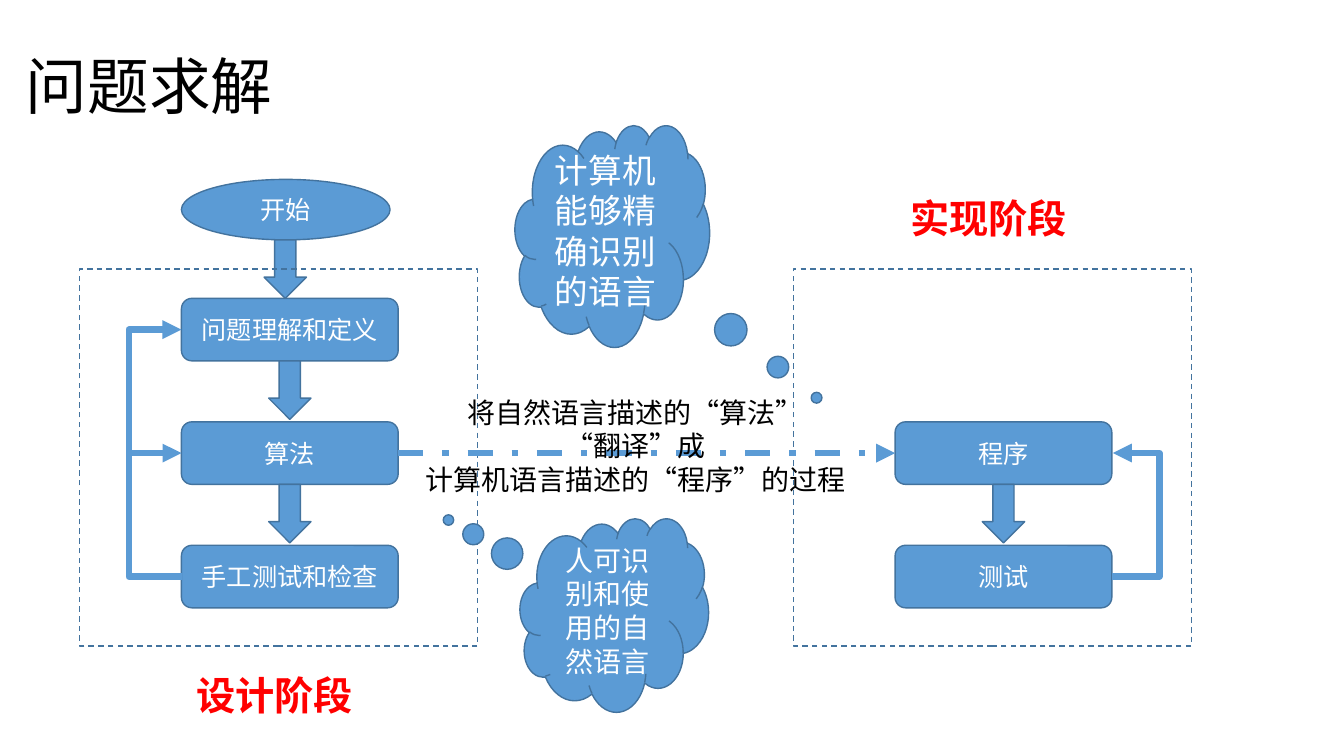
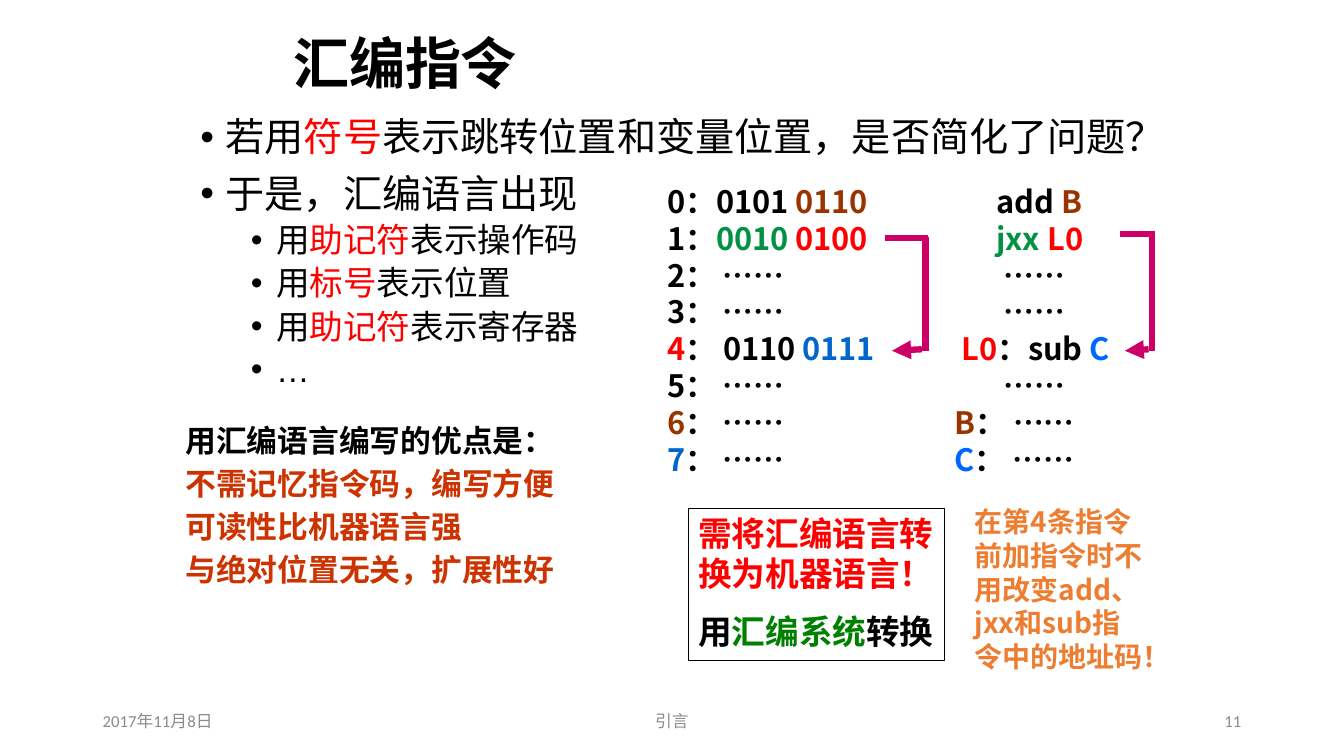
from dataclasses import dataclass
from typing import Optional, Sequence

from lxml import etree
from pptx import Presentation
from pptx import util as u
from pptx.dml.color import RGBColor
from pptx.enum import dml, shapes, text
from pptx.oxml import ns

# Shared grid: one cell is a tenth of an inch
CELL = u.Inches(0.1)
COLUMNS, ROWS = 133.33, 75

# Shared colours and fonts
BLACK = RGBColor(0x00, 0x00, 0x00)
WHITE = RGBColor(0xFF, 0xFF, 0xFF)
BLUE = RGBColor(0x5B, 0x9B, 0xD5)
OUTLINE = RGBColor(0x43, 0x73, 0x9E)
RED = RGBColor(0xFF, 0x00, 0x00)
GRAY = RGBColor(0x8C, 0x8C, 0x8C)
BROWN = RGBColor(0x99, 0x33, 0x00)
GREEN = RGBColor(0x00, 0x92, 0x42)
DARK_GREEN = RGBColor(0x00, 0x80, 0x00)
OPERAND_BLUE = RGBColor(0x00, 0x66, 0xCC)
LABEL_BLUE = RGBColor(0x00, 0x66, 0xFF)
RUST = RGBColor(0xCC, 0x33, 0x00)
ORANGE = RGBColor(0xED, 0x7D, 0x31)
MAGENTA = RGBColor(0xCC, 0x00, 0x66)
CALIBRI, ARIAL, NOTO = "Calibri", "Arial", "Noto Sans CJK SC"

LEFT, CENTER, RIGHT = text.PP_ALIGN.LEFT, text.PP_ALIGN.CENTER, text.PP_ALIGN.RIGHT
TOP, MIDDLE = text.MSO_ANCHOR.TOP, text.MSO_ANCHOR.MIDDLE
SHAPE = shapes.MSO_SHAPE
DASH = dml.MSO_LINE.DASH
THICK = 4.5


@dataclass(frozen=True)
class Area:
    col: float
    row: float
    cols: float
    rows: float

    def lengths(self) -> list[int]:
        return [cells(n) for n in (self.col, self.row, self.cols, self.rows)]


@dataclass(frozen=True)
class Style:
    size: float
    font: str = CALIBRI
    color: RGBColor = BLACK
    bold: bool = False
    align: text.PP_ALIGN = LEFT


@dataclass(frozen=True)
class Span:
    text: str
    color: Optional[RGBColor] = None


@dataclass(frozen=True)
class Para:
    spans: Sequence[Span]
    size: Optional[float] = None
    before: float = 0
    spacing: Optional[float] = None
    bullet_cols: Optional[float] = None


@dataclass(frozen=True)
class Phase:
    label: str
    label_row: float
    col: float
    steps: Sequence[str]
    first_step: int


@dataclass(frozen=True)
class Cloud:
    text: str
    area: Area
    size: float
    tail: tuple[float, float]


def cells(count: float) -> int:
    return round(count * CELL)


def line_of(*parts: tuple, **options) -> Para:
    return Para([Span(*part) for part in parts], **options)


# Text
def write(frame, paras: Sequence[Para], style: Style, anchor=TOP, wrap: bool = True) -> None:
    frame.word_wrap = wrap
    frame.vertical_anchor = anchor
    for index, item in enumerate(paras):
        para = frame.paragraphs[0] if index == 0 else frame.add_paragraph()
        para.alignment = style.align
        if index:
            para.space_before = u.Pt(item.before)
        if item.spacing:
            para.line_spacing = item.spacing
        if item.bullet_cols is not None:
            add_bullet(para, item.bullet_cols)
        for span in item.spans:
            run = para.add_run()
            run.text = span.text
            run.font.size = u.Pt(item.size or style.size)
            run.font.bold = style.bold
            run.font.color.rgb = span.color or style.color
            run.font.name = style.font
            east = etree.Element(ns.qn("a:ea"), typeface=NOTO)
            run.font._element.find(ns.qn("a:latin")).addnext(east)


def add_bullet(para, margin: float) -> None:
    props = para._p.get_or_add_pPr()
    props.set("marL", str(cells(margin)))
    props.set("indent", str(cells(-2.5)))
    etree.SubElement(props, ns.qn("a:buFont"), typeface=ARIAL)
    etree.SubElement(props, ns.qn("a:buChar"), char="•")


def add_text(page, area: Area, paras: Sequence[Para], style: Style, anchor=TOP,
             wrap: bool = True) -> None:
    box = page.shapes.add_textbox(*area.lengths())
    write(box.text_frame, paras, style, anchor, wrap)


def add_title(page, area: Area, title: str, style: Style, spacing: float) -> None:
    add_text(page, area, [line_of((title,), spacing=spacing)], style, MIDDLE)


def add_footer(page, date: str, topic: str, number: str) -> None:
    margin, side, middle = 9.2, 30, 45
    for words, col, cols, align in (
            (date, margin, side, LEFT),
            (topic, (COLUMNS - middle) / 2, middle, CENTER),
            (number, COLUMNS - margin - side, side, RIGHT)):
        add_text(page, Area(col, 69.5, cols, 4), [line_of((words,))],
                 Style(12, color=GRAY, align=align), MIDDLE)


# Shapes and lines
def add_shape(page, kind, area: Area, fill: Optional[RGBColor] = BLUE,
              outline: RGBColor = OUTLINE, width: float = 1):
    shape = page.shapes.add_shape(kind, *area.lengths())
    shape.shadow.inherit = False
    if fill is None:
        shape.fill.background()
    else:
        shape.fill.solid()
        shape.fill.fore_color.rgb = fill
    shape.line.color.rgb = outline
    shape.line.width = u.Pt(width)
    return shape


def add_label_shape(page, kind, area: Area, words: str, size: float = 18):
    shape = add_shape(page, kind, area)
    write(shape.text_frame, [line_of((words,))], Style(size, color=WHITE, align=CENTER), MIDDLE)
    return shape


def add_line(page, start: tuple[float, float], end: tuple[float, float], color: RGBColor = BLUE,
             arrow: bool = True, dash=None, bend_col: Optional[float] = None) -> None:
    kind = shapes.MSO_CONNECTOR.STRAIGHT if bend_col is None else shapes.MSO_CONNECTOR.ELBOW
    line = page.shapes.add_connector(kind, *map(cells, start + end))
    line.line.color.rgb = color
    line.line.width = u.Pt(THICK)
    if dash:
        line.line.dash_style = dash
    props = line._element.spPr
    if arrow:
        etree.SubElement(props.find(ns.qn("a:ln")), ns.qn("a:tailEnd"), type="triangle")
    if bend_col is not None:
        share = (bend_col - start[0]) / (end[0] - start[0])
        geometry = props.find(ns.qn("a:prstGeom"))
        values = geometry.find(ns.qn("a:avLst"))
        if values is None:
            values = etree.SubElement(geometry, ns.qn("a:avLst"))
        etree.SubElement(values, ns.qn("a:gd"), name="adj1", fmla=f"val {round(share * 100000)}")
    etree.SubElement(props, ns.qn("a:effectLst"))


# Slide 1: problem solving flow
STEP_COLS, STEP_ROWS, STEP_PITCH, STEP_TOP = 21.5, 6.2, 12.25, 29.6
STEP_INSET = 10.1
ARROW_COLS, ARROW_ROWS = 4.2, 5.8
DESIGN = Phase("设计阶段", 66.1, 7.9, ("问题理解和定义", "算法", "手工测试和检查"), 0)
BUILD = Phase("实现阶段", 18.8, 78.7, ("程序", "测试"), 1)
CLOUDS = (
    Cloud("人可识别和使用的自然语言", Area(51.6, 51.4, 18.7, 19.2), 20, (-0.88, -0.49)),
    Cloud("计算机能够精确识别的语言", Area(51.1, 12.4, 19.3, 22), 24, (1.05, 0.73)),
)


def step_row(index: int) -> float:
    return STEP_TOP + index * STEP_PITCH


def step_middle(index: int) -> float:
    return step_row(index) + STEP_ROWS / 2


def add_down_arrow(page, center: float, row: float) -> None:
    add_shape(page, SHAPE.DOWN_ARROW, Area(center - ARROW_COLS / 2, row, ARROW_COLS, ARROW_ROWS))


def add_phase(page, phase: Phase) -> None:
    frame = add_shape(page, SHAPE.RECTANGLE, Area(phase.col, 26.7, 39.5, 37.4), None)
    frame.line.dash_style = DASH
    col = phase.col + STEP_INSET
    for index, words in enumerate(phase.steps, phase.first_step):
        add_label_shape(page, SHAPE.ROUNDED_RECTANGLE,
                        Area(col, step_row(index), STEP_COLS, STEP_ROWS), words)
        if index > phase.first_step:
            add_down_arrow(page, col + STEP_COLS / 2, step_row(index) - STEP_PITCH + STEP_ROWS)
    add_text(page, Area(col + 0.4, phase.label_row, 17.7, 5.7), [line_of((phase.label,))],
             Style(28, color=RED, bold=True, align=CENTER), wrap=False)


def build_flow(page) -> None:
    add_title(page, Area(1.6, 1.6, 115, 14.5), "问题求解", Style(44), 0.9)
    add_label_shape(page, SHAPE.OVAL, Area(18, 17.8, 20.7, 6), "开始")
    add_down_arrow(page, 28.3, 23.8)
    for phase in (DESIGN, BUILD):
        add_phase(page, phase)

    # Feedback loops and the translation link
    step_left = DESIGN.col + STEP_INSET
    step_right = step_left + STEP_COLS
    build_left = BUILD.col + STEP_INSET
    build_right = build_left + STEP_COLS
    add_line(page, (step_left + 0.1, step_middle(2)), (step_left, step_middle(0)), bend_col=12.7)
    add_line(page, (12.7, step_middle(1)), (step_left, step_middle(1)))
    add_line(page, (build_right, step_middle(2)), (build_right + 0.1, step_middle(1)),
             bend_col=115.1)
    add_line(page, (step_right, step_middle(1)), (build_left, step_middle(1)),
             dash=dml.MSO_LINE.DASH_DOT)

    for cloud in CLOUDS:
        shape = add_label_shape(page, SHAPE.CLOUD_CALLOUT, cloud.area, cloud.text, cloud.size)
        shape.adjustments[0], shape.adjustments[1] = cloud.tail
    lines = ("将自然语言描述的“算法”", "“翻译”成", "计算机语言描述的“程序”的过程")
    add_text(page, Area(41, 38.7, 44.1, 11.1), [line_of((words,)) for words in lines],
             Style(20, align=CENTER), wrap=False)


# Slide 2: assembly instructions
MACHINE_CODE = (
    line_of(("0：0101 ",), ("0110", BROWN)),
    line_of(("1：",), ("0010 ", GREEN), ("0100", RED)),
    line_of(("2： ……",)),
    line_of(("3： ……",)),
    line_of(("4", RED), ("： 0110 ",), ("0111", OPERAND_BLUE)),
    line_of(("5： ……",)),
    line_of(("6", BROWN), ("： ……",)),
    line_of(("7", OPERAND_BLUE), ("： ……",)),
)
ELLIPSIS = line_of(("       ……",))
ASSEMBLY_CODE = (
    line_of(("      add ",), ("B", BROWN)),
    line_of(("      jxx ", GREEN), ("L0", RED)),
    ELLIPSIS,
    ELLIPSIS,
    line_of((" ",), ("L0", RED), ("：sub ",), ("C", LABEL_BLUE)),
    ELLIPSIS,
    line_of(("B", BROWN), ("： ……",)),
    line_of(("C", LABEL_BLUE), ("： ……",)),
)


def add_listing(page, col: float, cols: float, code: Sequence[Para],
                jump: tuple[float, float, float], jump_row: float) -> None:
    add_text(page, Area(col, 17.6, cols, 30.6), code, Style(22, NOTO, bold=True))
    start, side, end = jump
    add_line(page, (start, jump_row), (side + 0.25, jump_row), MAGENTA, False)
    add_line(page, (side, jump_row - 0.1), (side, 34.8), MAGENTA, False)
    add_line(page, (side - 0.35, 34.65), (end, 34.8), MAGENTA)


def build_assembly(page) -> None:
    bullets = [line_of(*parts, before=10, spacing=0.9, bullet_cols=2.5) for parts in (
        (("若用",), ("符号", RED), ("表示跳转位置和变量位置，是否简化了问题？",)),
        (("于是，汇编语言出现",),))]
    bullets += [line_of(*parts, size=24, before=5, spacing=0.9, bullet_cols=7.5) for parts in (
        (("用",), ("助记符", RED), ("表示操作码",)),
        (("用",), ("标号", RED), ("表示位置",)),
        (("用",), ("助记符", RED), ("表示寄存器",)),
        (("…",),))]
    add_text(page, Area(18.9, 11.2, 97.7, 31), bullets, Style(28, ARIAL))
    add_footer(page, "2017年11月8日", "引言", "11")
    add_title(page, Area(28.1, 1.4, 73.2, 9.5), "汇编指令", Style(40, ARIAL, bold=True), 1)

    add_listing(page, 65.2, 26.5, MACHINE_CODE, (87.8, 91.8, 88.5), 23.6)
    add_listing(page, 93.7, 20.5, ASSEMBLY_CODE, (111.1, 114.3, 111.6), 23.2)

    # Conclusions
    add_text(page, Area(95.7, 49.6, 18.8, 17.8),
             [line_of(("在第4条指令前加指令时不用改变add、jxx和sub指令中的地址码！",))],
             Style(20, NOTO, ORANGE, True))
    benefits = (("用汇编语言编写的优点是：", BLACK), ("不需记忆指令码，编写方便",),
                ("可读性比机器语言强",), ("与绝对位置无关，扩展性好",))
    add_text(page, Area(17.4, 41.3, 57.1, 18), [line_of(part, before=4.4) for part in benefits],
             Style(22, NOTO, RUST, True))
    note = add_shape(page, SHAPE.RECTANGLE, Area(68.3, 50.4, 25.4, 15.1), None, BLACK, 0.75)
    note.text_frame.margin_right = 0
    write(note.text_frame, [line_of(("需将汇编语言转换为机器语言！", RED)),
                            line_of(("用",), ("汇编系统", DARK_GREEN), ("转换",), before=12)],
          Style(24, NOTO, bold=True))


def main() -> None:
    deck = Presentation()
    deck.slide_width, deck.slide_height = cells(COLUMNS), cells(ROWS)
    for build in (build_flow, build_assembly):
        build(deck.slides.add_slide(deck.slide_layouts[6]))
    deck.save("out.pptx")


if __name__ == "__main__":
    main()
